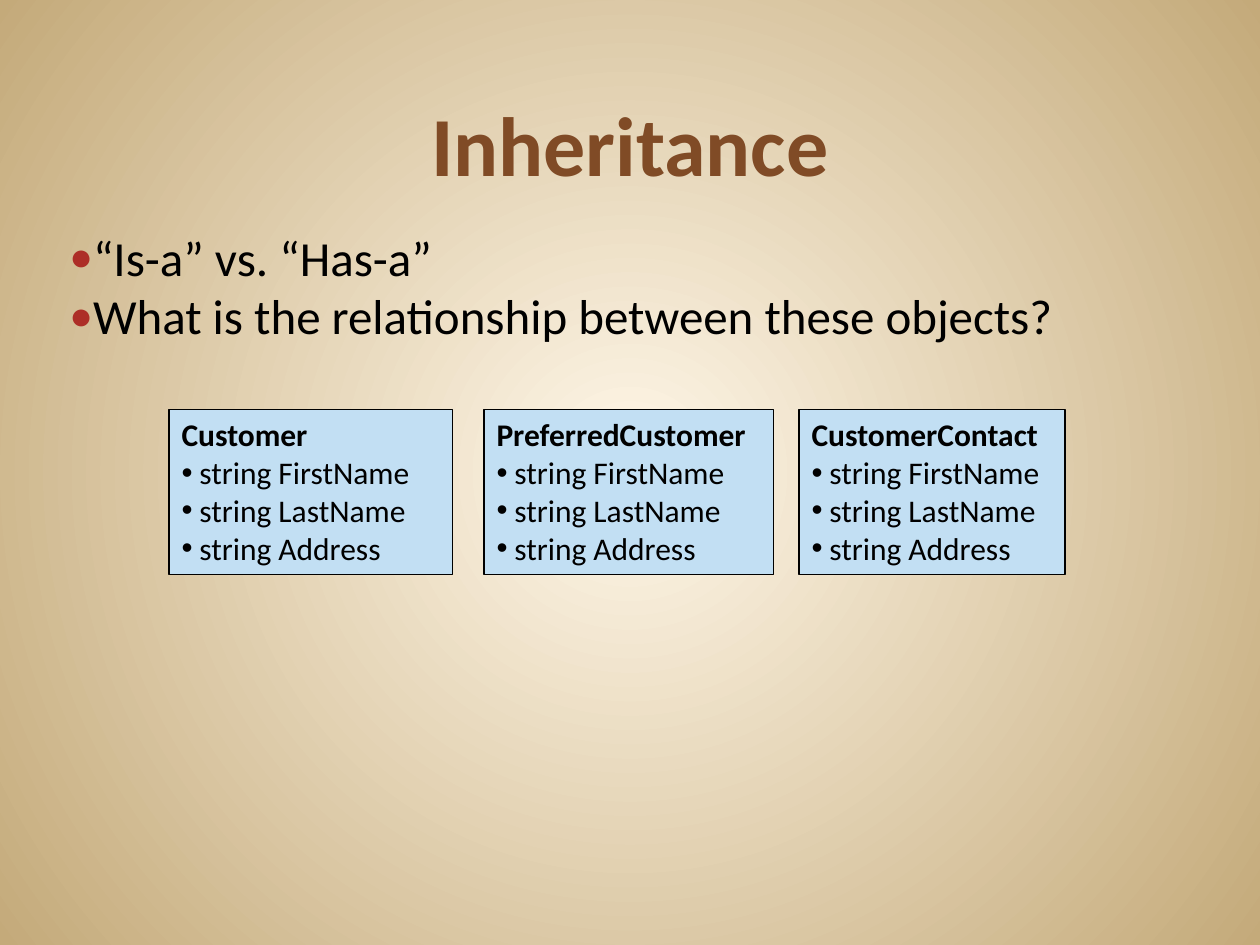
from lxml.etree import SubElement
from pptx import Presentation
from pptx.dml.color import RGBColor
from pptx.enum.shapes import MSO_SHAPE as Shape
from pptx.enum.text import MSO_ANCHOR as Anchor, PP_ALIGN as Align
from pptx.oxml.ns import qn
from pptx.util import Cm, Pt

CREAM = RGBColor(0xFF, 0xF7, 0xE8)
TAN = RGBColor(0xC4, 0xAA, 0x7A)
BROWN = RGBColor(0x80, 0x4B, 0x26)
RED = RGBColor(0xAD, 0x2E, 0x27)
BLUE = RGBColor(0xC2, 0xDF, 0xF3)
BLACK = RGBColor(0, 0, 0)
FONT = "Calibri"
FIELDS = ["string FirstName", "string LastName", "string Address"]


def add_run(para, text, size, color=BLACK, bold=False):
    run = para.add_run()
    run.text = text
    font = run.font
    font.name, font.size, font.bold = FONT, Pt(size), bold
    font.color.rgb = color


def set_bullet(para, mark, gap, color=BLACK, scale=100):
    props = para._p.get_or_add_pPr()
    props.set("marL", str(Cm(gap)))
    props.set("indent", str(-Cm(gap)))
    tint = SubElement(props, qn("a:buClr"))
    SubElement(tint, qn("a:srgbClr"), val=str(color))
    SubElement(props, qn("a:buSzPct"), val=str(scale * 1000))
    SubElement(props, qn("a:buFont"), typeface="Arial")
    SubElement(props, qn("a:buChar"), char=mark)


def paint_back(slide):
    fill = slide.background.fill
    fill.gradient()
    for stop, color, place in zip(fill.gradient_stops, (CREAM, TAN), (0, 1)):
        stop.color.rgb = color
        stop.position = place
    grad = slide.background._cSld.find(".//" + qn("a:gradFill"))
    grad.remove(grad.find(qn("a:lin")))
    route = SubElement(grad, qn("a:path"), path="circle")
    SubElement(route, qn("a:fillToRect"), l="50000", t="50000", r="50000", b="50000")


def add_title(slide, left, top, width, height, text):
    box = slide.shapes.add_textbox(Cm(left), Cm(top), Cm(width), Cm(height))
    frame = box.text_frame
    frame.word_wrap = True
    frame.vertical_anchor = Anchor.BOTTOM
    para = frame.paragraphs[0]
    para.alignment = Align.CENTER
    add_run(para, text, 48, BROWN, True)


def add_points(slide, left, top, width, height, points):
    box = slide.shapes.add_textbox(Cm(left), Cm(top), Cm(width), Cm(height))
    frame = box.text_frame
    frame.word_wrap = True
    frame.margin_left = frame.margin_right = Cm(0.13)
    frame.margin_top = frame.margin_bottom = Cm(0.13)
    for i, text in enumerate(points):
        para = frame.add_paragraph() if i else frame.paragraphs[0]
        set_bullet(para, "●", 0.47, RED, 80)
        add_run(para, text, 28)


def add_class(slide, left, top, width, height, name):
    box = slide.shapes.add_shape(
        Shape.RECTANGLE, Cm(left), Cm(top), Cm(width), Cm(height))
    box.shadow.inherit = False
    box.fill.solid()
    box.fill.fore_color.rgb = BLUE
    box.line.color.rgb = BLACK
    box.line.width = Pt(0.75)
    frame = box.text_frame
    frame.word_wrap = True
    frame.vertical_anchor = Anchor.TOP
    head = frame.paragraphs[0]
    head.alignment = Align.LEFT
    add_run(head, name, 18, bold=True)
    for field in FIELDS:
        para = frame.add_paragraph()
        para.alignment = Align.LEFT
        set_bullet(para, "•", 0.36)
        add_run(para, field, 18)


def add_classes(slide, left, top, step, height, classes):
    for i, (name, width) in enumerate(classes):
        add_class(slide, left + i * step, top, width, height, name)


def main():
    deck = Presentation()
    deck.slide_width, deck.slide_height = Cm(25.4), Cm(19.05)
    slide = deck.slides.add_slide(deck.slide_layouts[6])
    paint_back(slide)
    add_title(slide, 1.27, 0.85, 22.86, 3.18, "Inheritance")
    add_points(slide, 1.27, 4.45, 22.86, 3.18, [
        "“Is-a” vs. “Has-a”",
        "What is the relationship between these objects?",
    ])
    add_classes(slide, 3.41, 8.25, 6.35, 3.33, [
        ("Customer", 5.72),
        ("PreferredCustomer", 5.84),
        ("CustomerContact", 5.36),
    ])
    deck.save("out.pptx")


if __name__ == "__main__":
    main()
